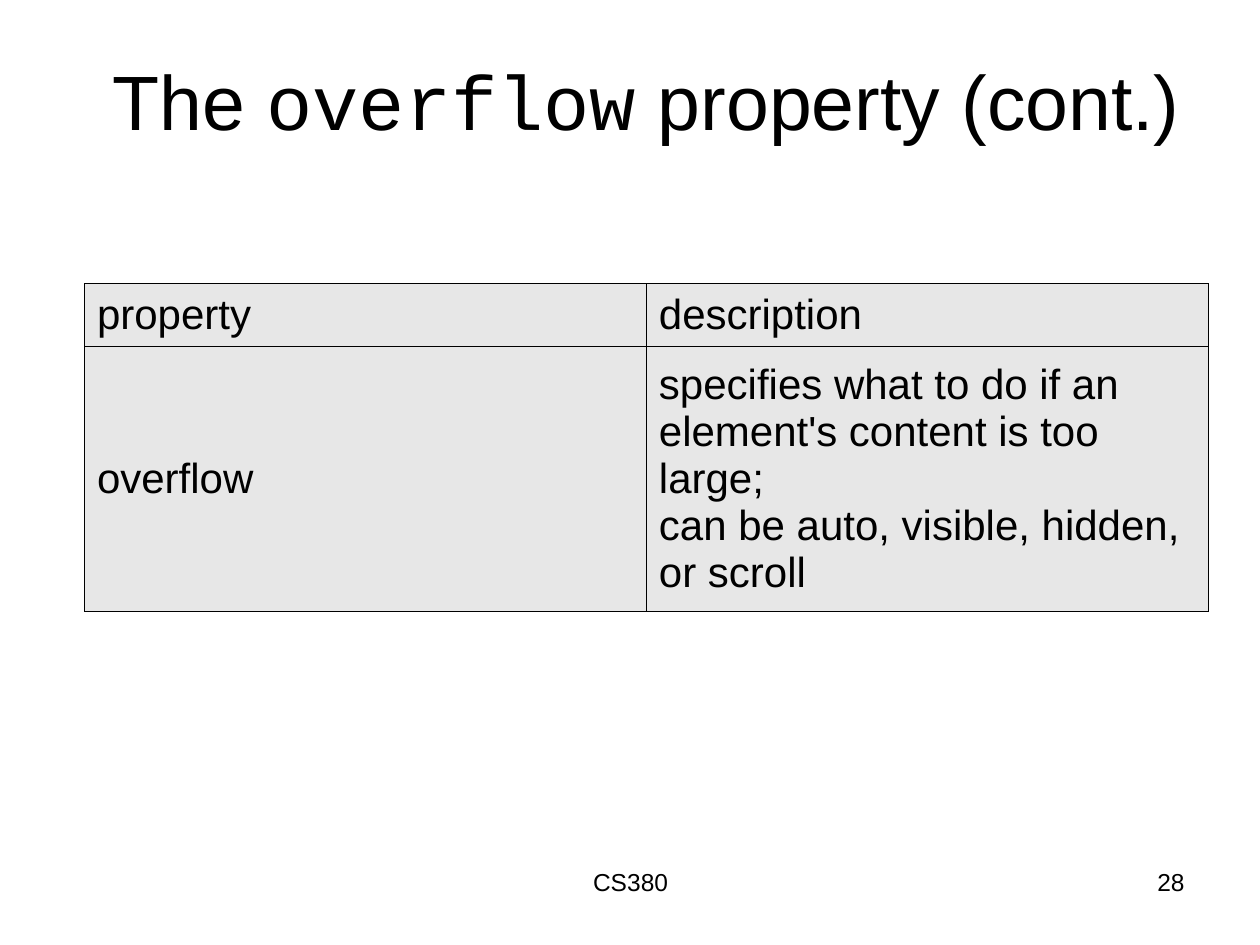
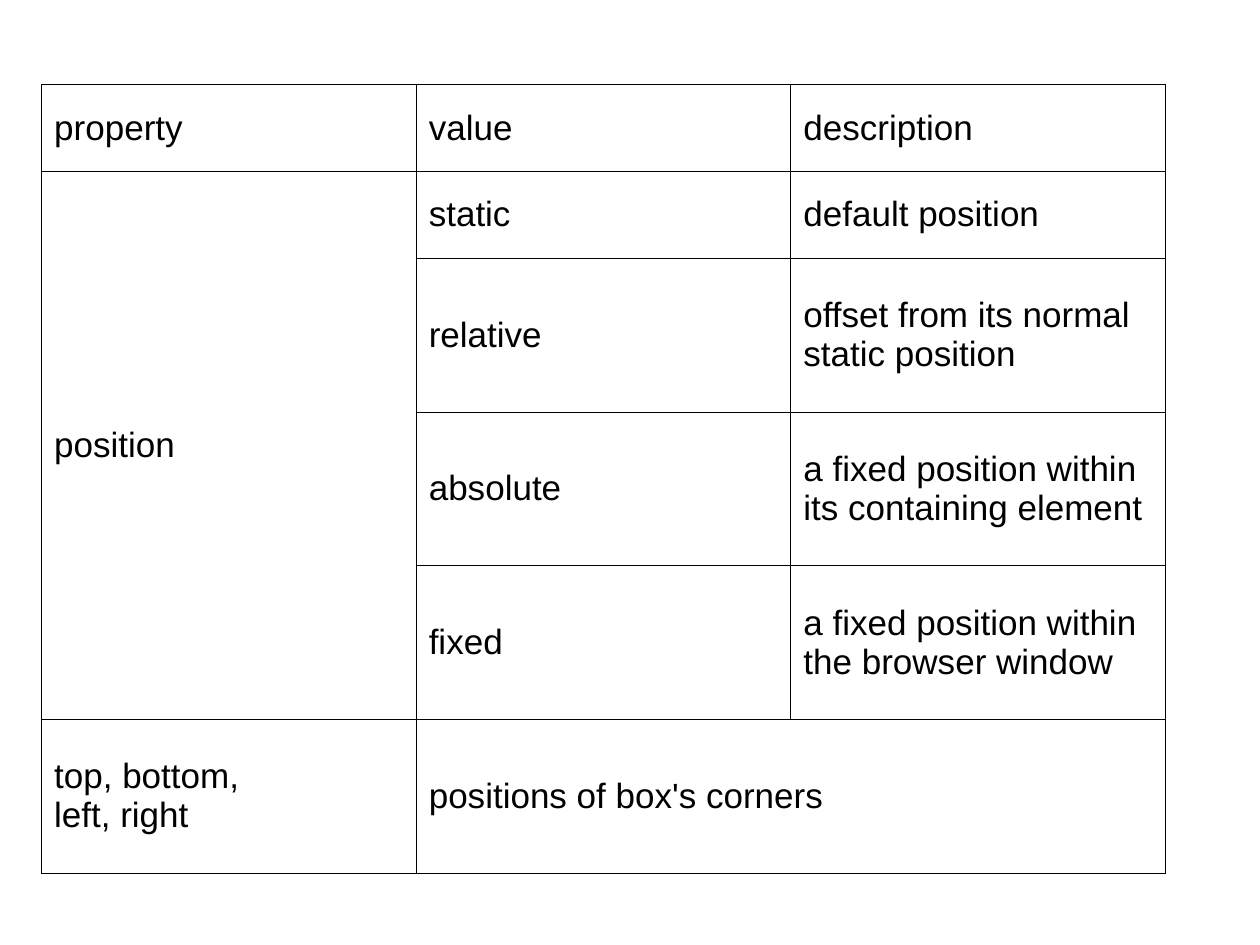
"""Build two CSS slides: the overflow property and the position property."""
from dataclasses import dataclass
from typing import Optional

from lxml import etree
from pptx import Presentation
from pptx.dml.color import RGBColor
from pptx.enum.text import MSO_ANCHOR, PP_ALIGN
from pptx.oxml.ns import qn
from pptx.util import Inches, Pt

LEFT, CENTER, RIGHT = PP_ALIGN.LEFT, PP_ALIGN.CENTER, PP_ALIGN.RIGHT
TOP, MIDDLE = MSO_ANCHOR.TOP, MSO_ANCHOR.MIDDLE
BORDER_SIDES = ("a:lnL", "a:lnR", "a:lnT", "a:lnB")


@dataclass(frozen=True)
class Theme:
    """Fonts, colours, sizes and line widths of the deck."""
    font: str = "Arial"
    code_font: str = "Courier New"
    ink: str = "000000"
    shade: str = "E7E7E7"
    title: int = 44
    table_large: int = 24
    table_small: int = 20
    footer: int = 14
    border: float = 0.45


@dataclass(frozen=True)
class Box:
    """A place on the slide, in inches."""
    left: float
    top: float
    width: float
    height: float


@dataclass(frozen=True)
class Merge:
    """A merged block of cells, from its first to its last corner."""
    first: tuple[int, int]
    last: tuple[int, int]


@dataclass(frozen=True)
class Grid:
    """A bordered table with equal columns."""
    left: float
    top: float
    row_heights: tuple[float, ...]
    rows: tuple[tuple[str, ...], ...]
    size: int
    fill: Optional[str] = None
    merges: tuple[Merge, ...] = ()


THEME = Theme()
TABLE_WIDTH = 8.92
TITLE_BOX = Box(0.67, 0.25, TABLE_WIDTH, 1.08)
COURSE_BOX = Box(3.42, 6.83, 3.17, 0.52)
NUMBER_BOX = Box(7.17, 6.83, 2.33, 0.52)

OVERFLOW = Grid(
    0.67, 2.25, (0.5, 2.1),
    (("property", "description"),
     ("overflow", "specifies what to do if an element's content is too large;\n"
                  "can be auto, visible, hidden, or scroll")),
    THEME.table_large, THEME.shade)

POSITION = Grid(
    0.33, 0.67, (0.69,) * 2 + (1.22,) * 4,
    (("property", "value", "description"),
     ("position", "static", "default position"),
     ("", "relative", "offset from its normal static position"),
     ("", "absolute", "a fixed position within its containing element"),
     ("", "fixed", "a fixed position within the browser window"),
     ("top, bottom,\nleft, right", "positions of box's corners", "")),
    THEME.table_small,
    merges=(Merge((1, 0), (4, 0)), Merge((5, 1), (5, 2))))


def write(tf, text: str, *, size: int, align=LEFT) -> None:
    """Write text in one paragraph; backticks mark code and newlines break lines."""
    p = tf.paragraphs[0]
    p.alignment = align
    for i, line in enumerate(text.split("\n")):
        if i:
            p.add_line_break()
        for j, part in enumerate(line.split("`")):
            if part:
                r = p.add_run()
                r.text = part
                r.font.name = THEME.code_font if j % 2 else THEME.font
                r.font.size = Pt(size)
                r.font.color.rgb = RGBColor.from_string(THEME.ink)


def add_text(s, box: Box, text: str, *, size: int, align=LEFT, anchor=TOP) -> None:
    """Add a wrapping text box."""
    sp = s.shapes.add_textbox(Inches(box.left), Inches(box.top),
                              Inches(box.width), Inches(box.height))
    tf = sp.text_frame
    tf.word_wrap = True
    tf.vertical_anchor = anchor
    write(tf, text, size=size, align=align)


def add_borders(cell) -> None:
    """Draw a thin line on all four sides of a cell."""
    tc_pr = cell._tc.get_or_add_tcPr()
    for i, side in enumerate(BORDER_SIDES):
        ln = etree.Element(qn(side), w=str(Pt(THEME.border)))
        fill = etree.SubElement(ln, qn("a:solidFill"))
        etree.SubElement(fill, qn("a:srgbClr"), val=THEME.ink)
        tc_pr.insert(i, ln)


def add_grid(s, grid: Grid) -> None:
    """Add a table with its borders, fills and merged cells."""
    columns = len(grid.rows[0])
    table = s.shapes.add_table(
        len(grid.rows), columns, Inches(grid.left), Inches(grid.top),
        Inches(TABLE_WIDTH), Inches(sum(grid.row_heights))).table
    table.first_row = table.horz_banding = False
    for column in table.columns:
        column.width = Inches(TABLE_WIDTH / columns)
    for row, height, texts in zip(table.rows, grid.row_heights, grid.rows):
        row.height = Inches(height)
        for cell, text in zip(row.cells, texts):
            cell.vertical_anchor = MIDDLE
            add_borders(cell)
            if grid.fill:
                cell.fill.solid()
                cell.fill.fore_color.rgb = RGBColor.from_string(grid.fill)
            else:
                cell.fill.background()
            write(cell.text_frame, text, size=grid.size)
    for merge in grid.merges:
        table.cell(*merge.first).merge(table.cell(*merge.last))


def main() -> None:
    """Build and save the deck."""
    prs = Presentation()
    prs.slide_width, prs.slide_height = Inches(10), Inches(7.5)
    blank = prs.slide_layouts[6]

    s = prs.slides.add_slide(blank)
    add_text(s, TITLE_BOX, "The `overflow` property (cont.)",
             size=THEME.title, align=CENTER, anchor=MIDDLE)
    add_text(s, NUMBER_BOX, "28", size=THEME.footer, align=RIGHT)
    add_grid(s, OVERFLOW)
    add_text(s, COURSE_BOX, "CS380", size=THEME.footer, align=CENTER)

    s = prs.slides.add_slide(blank)
    add_grid(s, POSITION)

    prs.save("out.pptx")


if __name__ == "__main__":
    main()
